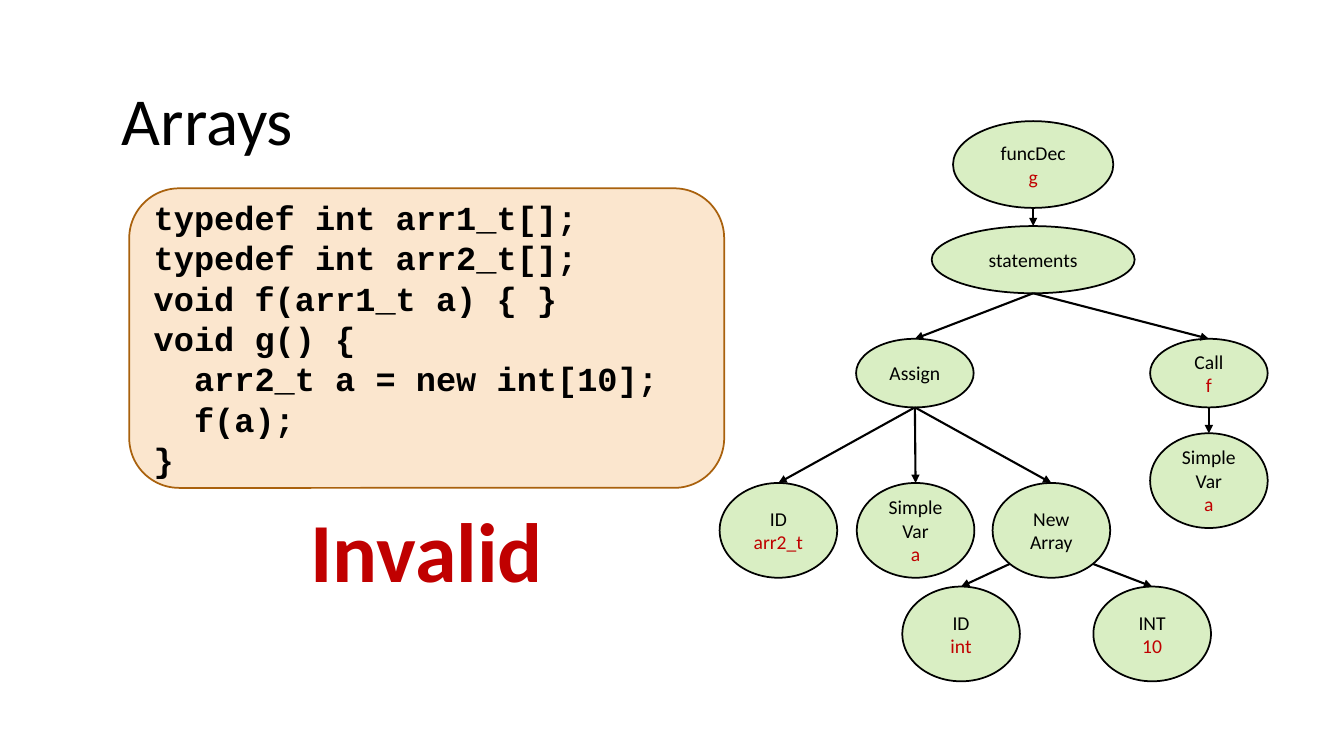
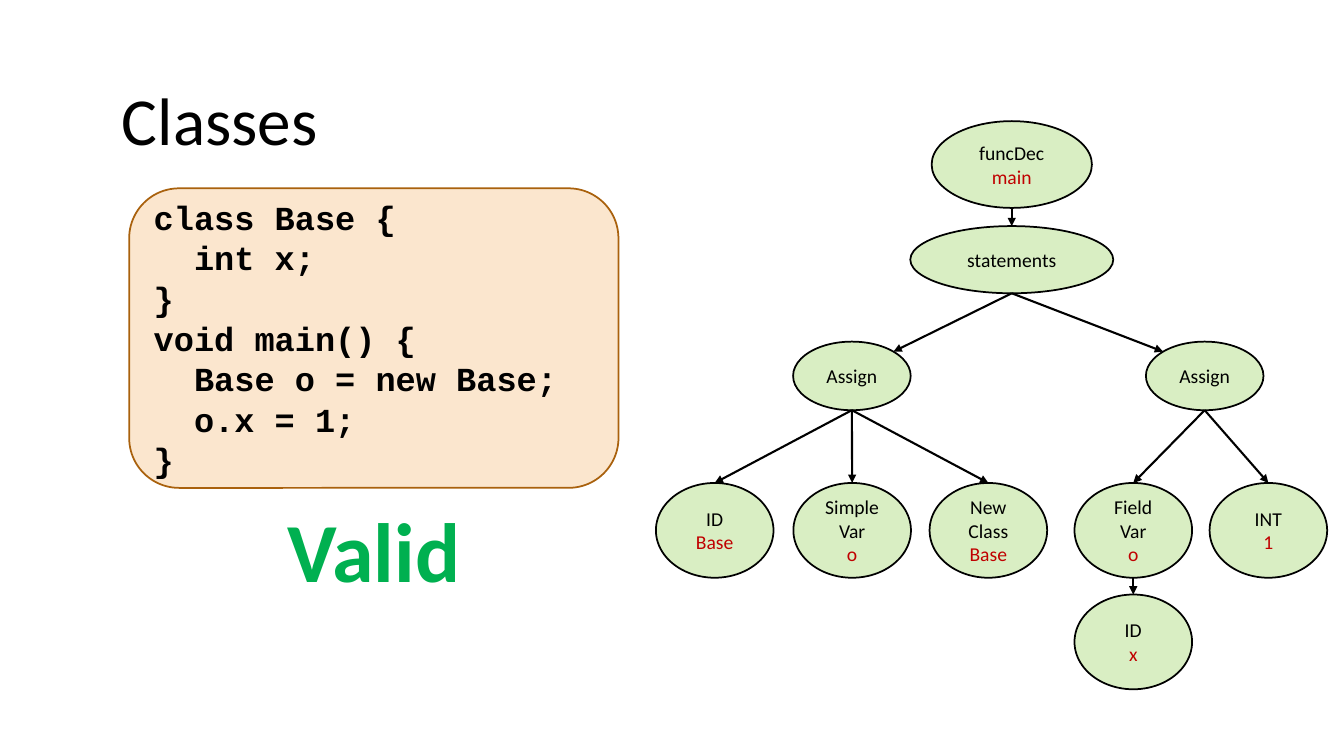
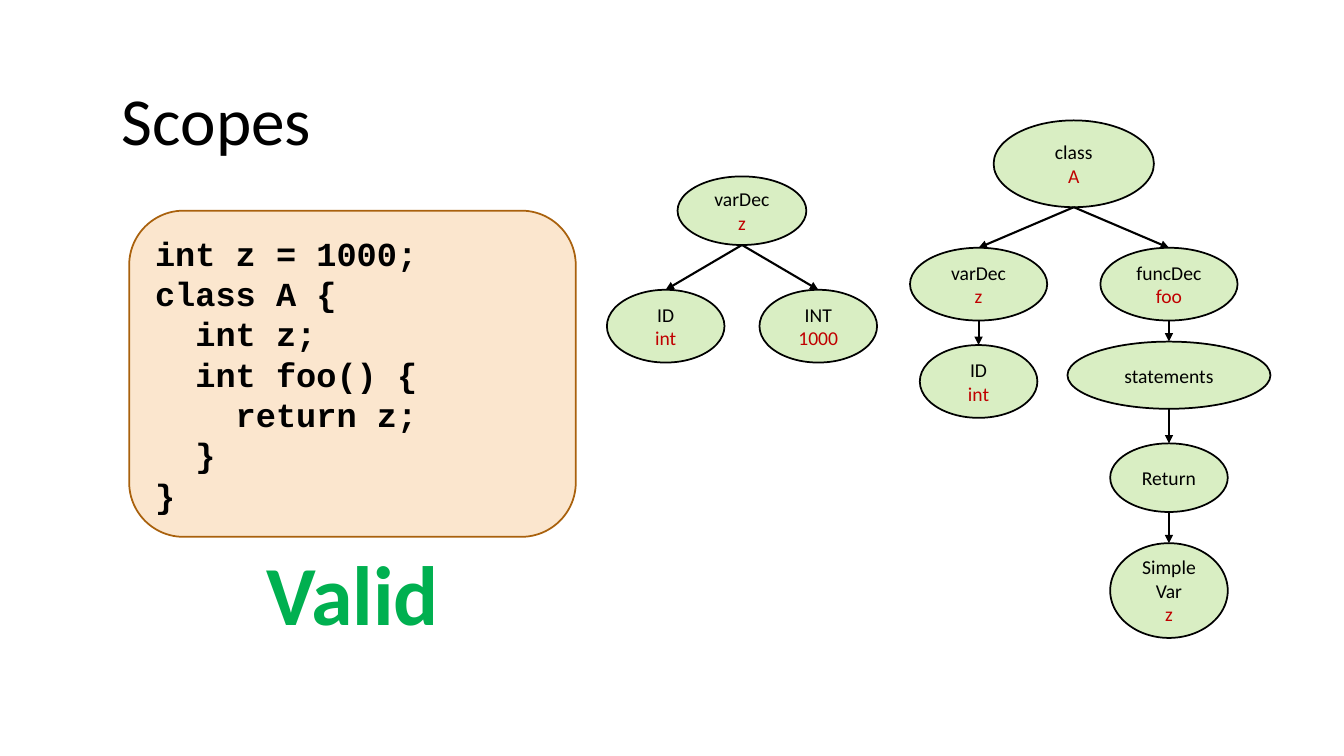
import pptx
import pptx.util
import pptx.dml.color
import pptx.enum.shapes
import pptx.enum.text
import pptx.oxml.ns
from lxml import etree

Pt = pptx.util.Pt
RGBColor = pptx.dml.color.RGBColor
MSO_SHAPE = pptx.enum.shapes.MSO_SHAPE
MSO_ANCHOR = pptx.enum.text.MSO_ANCHOR
PP_ALIGN = pptx.enum.text.PP_ALIGN
qn = pptx.oxml.ns.qn

# Colours
BLACK = RGBColor(0x00, 0x00, 0x00)
RED = RGBColor(0xC0, 0x00, 0x00)
GREEN = RGBColor(0x00, 0xB0, 0x50)
NODE_GREEN = RGBColor(0x92, 0xD0, 0x50)
CODE_FILL = RGBColor(0xFB, 0xE6, 0xCE)
CODE_LINE = RGBColor(0xA9, 0x61, 0x0D)

# Node sizes (width, height)
ROOT = (114.5, 62)
WIDE = (145, 48)
DECL = (98, 52)
VAR = (92, 49)
SMALL = (84, 49)
MEDIUM = (84, 52)
TALL = (84, 67.7)
DIAGONAL = 0.5 ** 0.5

# Each node: key, parent, centre x, top, size, label lines, red name
SLIDES = [
    {
        "title": "Arrays",
        "code": "typedef int arr1_t[];\ntypedef int arr2_t[];\nvoid f(arr1_t a) { }\n"
                "void g() {\n  arr2_t a = new int[10];\n  f(a);\n}",
        "box": (134.5, 425, 214),
        "verdict": ("Invalid", RED, 352.5),
        "leave_diagonal": {"new"},
        "enter_diagonal": set(),
        "nodes": [
            ("func", None, 738, 86.5, ROOT, ["funcDec"], "g"),
            ("stmts", "func", 738, 161.5, WIDE, ["statements"], None),
            ("assign", "stmts", 653.5, 242, SMALL, ["Assign"], None),
            ("call", "stmts", 863.5, 242, SMALL, ["Call"], "f"),
            ("argument", "call", 863.5, 309.5, TALL, ["Simple", "Var"], "a"),
            ("type", "assign", 556, 345, TALL, ["ID"], "arr2_t"),
            ("var", "assign", 654, 345, TALL, ["Simple", "Var"], "a"),
            ("new", "assign", 751, 345, TALL, ["New", "Array"], None),
            ("element", "new", 686.5, 419, TALL, ["ID"], "int"),
            ("length", "new", 823, 419, TALL, ["INT"], "10"),
        ],
    },
    {
        "title": "Classes",
        "code": "class Base {\n  int x;\n}\nvoid main() {\n  Base o = new Base;\n  o.x = 1;\n}",
        "box": (134.5, 349.5, 214),
        "verdict": ("Valid", GREEN, 352.5),
        "leave_diagonal": set(),
        "enter_diagonal": {"create", "store"},
        "nodes": [
            ("func", None, 722.7, 86.5, ROOT, ["funcDec"], "main"),
            ("stmts", "func", 722.7, 161.5, WIDE, ["statements"], None),
            ("create", "stmts", 608.5, 244, SMALL, ["Assign"], None),
            ("store", "stmts", 860.5, 244, SMALL, ["Assign"], None),
            ("type", "create", 510.5, 345, TALL, ["ID"], "Base"),
            ("var", "create", 608.7, 345, TALL, ["Simple", "Var"], "o"),
            ("new", "create", 706, 345, TALL, ["New", "Class"], "Base"),
            ("field", "store", 809.5, 345, TALL, ["Field", "Var"], "o"),
            ("value", "store", 906, 345, TALL, ["INT"], "1"),
            ("member", "field", 809.5, 424.7, TALL, ["ID"], "x"),
        ],
    },
    {
        "title": "Scopes",
        "code": "int z = 1000;\nclass A {\n  int z;\n  int foo() {\n    return z;\n  }\n}",
        "box": (150.5, 319, 233),
        "verdict": ("Valid", GREEN, 383.5),
        "leave_diagonal": set(),
        "enter_diagonal": set(),
        "nodes": [
            ("global", None, 530, 126, VAR, ["varDec"], "z"),
            ("type", "global", 475.5, 207, MEDIUM, ["ID"], "int"),
            ("value", "global", 584.5, 207, MEDIUM, ["INT"], "1000"),
            ("class", None, 767, 86, ROOT, ["class"], "A"),
            ("member", "class", 699, 177, DECL, ["varDec"], "z"),
            ("method", "class", 835, 177, DECL, ["funcDec"], "foo"),
            ("member type", "member", 699, 246.5, MEDIUM, ["ID"], "int"),
            ("stmts", "method", 835, 244, WIDE, ["statements"], None),
            ("return", "stmts", 835, 316.7, SMALL, ["Return"], None),
            ("var", "return", 835, 388, TALL, ["Simple", "Var"], "z"),
        ],
    },
]


def write(sp, text, size, color=BLACK, font="Calibri", bold=False, align=PP_ALIGN.LEFT,
          anchor=MSO_ANCHOR.MIDDLE):
    tf = sp.text_frame
    tf.word_wrap = True
    tf.vertical_anchor = anchor
    tf.text = text
    for p in tf.paragraphs:
        p.alignment = align
        for r in p.runs:
            r.font.name = font
            r.font.size = Pt(size)
            r.font.bold = bold
            r.font.color.rgb = color
    return tf


def add_filled(s, kind, left, top, width, height, fill, line):
    sp = s.shapes.add_shape(kind, Pt(left), Pt(top), Pt(width), Pt(height))
    sp.shadow.inherit = False
    sp.fill.solid()
    sp.fill.fore_color.rgb = fill
    sp.line.color.rgb = line
    sp.line.width = Pt(1.25)
    return sp


prs = pptx.Presentation()
prs.slide_width = Pt(960)
prs.slide_height = Pt(540)

for content in SLIDES:
    s = prs.slides.add_slide(prs.slide_layouts[6])

    # Title
    sp = s.shapes.add_textbox(Pt(80), Pt(52.5), Pt(798), Pt(65.5))
    write(sp, content["title"], 48, anchor=MSO_ANCHOR.TOP)

    # Code box
    left = 92.3
    top, width, height = content["box"]
    sp = add_filled(s, MSO_SHAPE.ROUNDED_RECTANGLE, left, top, width, height, CODE_FILL, CODE_LINE)
    write(sp, content["code"], 24, font="Courier New", bold=True)

    # Verdict, centred under the code
    verdict, color, top = content["verdict"]
    sp = s.shapes.add_textbox(Pt(left + width / 2 - 110), Pt(top), Pt(220), Pt(80))
    write(sp, verdict, 60, color, bold=True, align=PP_ALIGN.CENTER, anchor=MSO_ANCHOR.TOP)

    # Syntax tree
    placed = {}
    for key, parent, cx, top, (w, h), label, name in content["nodes"]:
        sp = add_filled(s, MSO_SHAPE.OVAL, cx - w / 2, top, w, h, NODE_GREEN, BLACK)
        clr = sp._element.spPr.find(qn("a:solidFill"))[0]
        etree.SubElement(clr, qn("a:alpha"), val="34000")
        tf = write(sp, "\n".join(label + ([name] if name else [])), 14, align=PP_ALIGN.CENTER)
        if name:
            tf.paragraphs[-1].runs[0].font.color.rgb = RED
        placed[key] = (cx, top + h / 2, w / 2, h / 2)
        if parent is None:
            continue

        # Arrow from the parent's lower edge to this node's upper edge
        px, py, prx, pry = placed[parent]
        x, y, rx, ry = placed[key]
        side = 1 if x > px else -1
        if parent in content["leave_diagonal"]:
            start = (px + side * prx * DIAGONAL, py + pry * DIAGONAL)
        else:
            start = (px, py + pry)
        if key in content["enter_diagonal"]:
            end = (x - side * rx * DIAGONAL, y - ry * DIAGONAL)
        else:
            end = (x, y - ry)
        arrow = s.shapes.add_connector(pptx.enum.shapes.MSO_CONNECTOR.STRAIGHT,
                                       Pt(start[0]), Pt(start[1]), Pt(end[0]), Pt(end[1]))
        arrow.line.color.rgb = BLACK
        arrow.line.width = Pt(1.5)
        ln = arrow._element.spPr.find(qn("a:ln"))
        etree.SubElement(ln, qn("a:tailEnd"), type="triangle")
        etree.SubElement(arrow._element.spPr, qn("a:effectLst"))

prs.save("out.pptx")
